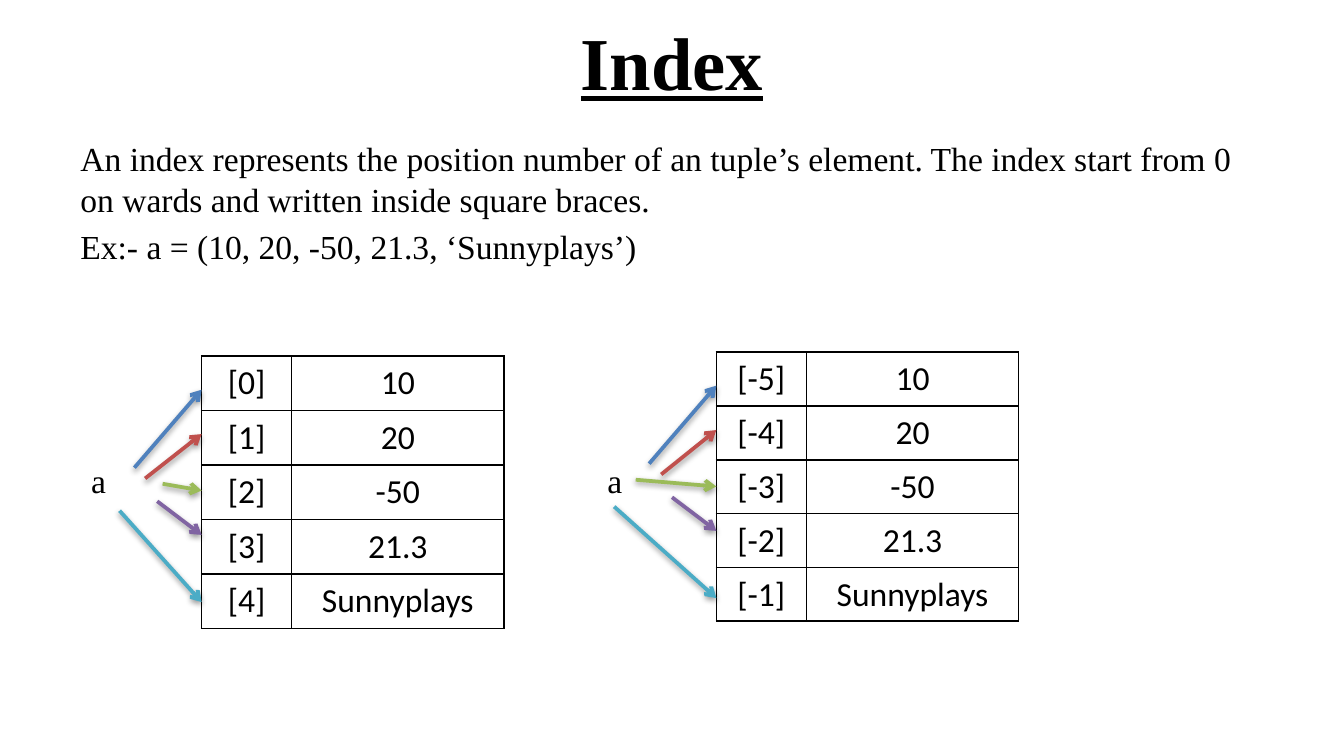
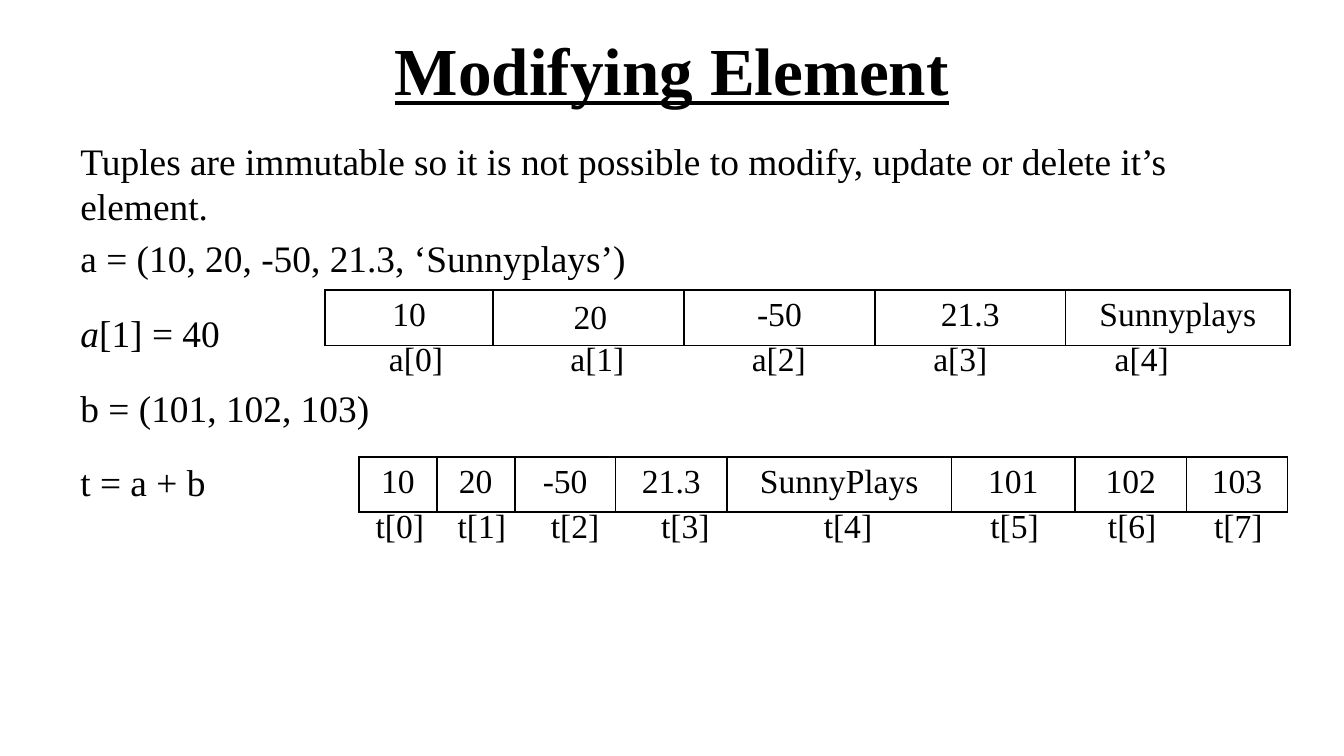
from lxml import etree
from pptx import Presentation
from pptx.dml.color import RGBColor
from pptx.enum.shapes import MSO_CONNECTOR
from pptx.enum.text import MSO_ANCHOR, MSO_AUTO_SIZE, PP_ALIGN
from pptx.oxml import parse_xml
from pptx.oxml.ns import nsdecls, qn
from pptx.util import Inches, Pt

COLORS = {
    "text": "000000", "border": "000000", "shadow": "000000", "background": "FFFFFF",
    "blue": "4F81BD", "red": "C0504D", "green": "9BBB59",
    "purple": "8064A2", "aqua": "4BACC6",
}
SERIF, SANS = "Times New Roman", "Calibri"
ROW_H = 0.41
VALUES = ["10", "20", "-50", "21.3", "Sunnyplays"]
TUPLE_A = "(10, 20, -50, 21.3, ‘Sunnyplays’)"

# colour, height of the arrow's tail and head below the table top
ARROWS = [
    ("blue", 0.83, 0.25),
    ("red", 0.91, 0.58),
    ("green", 0.95, 1),
    ("purple", 1.08, 1.33),
    ("aqua", 1.15, 1.83),
]


def rgb(name):
    return RGBColor.from_string(COLORS[name])


def add_run(p, text, size=18, font=SERIF, bold=False, italic=False, underline=False):
    r = p.add_run()
    r.text = text
    f = r.font
    f.size, f.name, f.color.rgb = Pt(size), font, rgb("text")
    f.bold, f.italic, f.underline = bold, italic, underline


def add_box(slide, x, y, w, h, wrap=True):
    tf = slide.shapes.add_textbox(Inches(x), Inches(y), Inches(w), Inches(h)).text_frame
    tf.word_wrap = wrap
    tf.auto_size = MSO_AUTO_SIZE.NONE if wrap else MSO_AUTO_SIZE.SHAPE_TO_FIT_TEXT
    return tf


def add_title(slide, text, y, size):
    tf = add_box(slide, 0.5, y, 9, 0.94)
    tf.vertical_anchor = MSO_ANCHOR.MIDDLE
    p = tf.paragraphs[0]
    p.alignment = PP_ALIGN.CENTER
    add_run(p, text, size, bold=True, underline=True)


def add_body(slide, w, h, size, paragraphs):
    """Each paragraph is (line spacing, [(text, italic), ...])."""
    tf = add_box(slide, 0.5, 0.98, w, h)
    for i, (spacing, runs) in enumerate(paragraphs):
        p = tf.add_paragraph() if i else tf.paragraphs[0]
        p.space_before = Pt(0.2 * size)
        p.line_spacing = float(spacing)
        for text, italic in runs:
            add_run(p, text, size, italic=italic)


def add_label(slide, text, x, y, w):
    tf = add_box(slide, x, y, w, 0.4, wrap=False)
    add_run(tf.paragraphs[0], text)


def set_borders(cell, visible):
    tc_pr = cell._tc.get_or_add_tcPr()
    for i, side in enumerate(("lnL", "lnR", "lnT", "lnB")):
        ln = etree.Element(qn(f"a:{side}"), w=str(Pt(1)))
        if visible:
            fill = etree.SubElement(ln, qn("a:solidFill"))
            etree.SubElement(fill, qn("a:srgbClr"), val=COLORS["border"])
        else:
            etree.SubElement(ln, qn("a:noFill"))
        tc_pr.insert(i, ln)


def add_grid(slide, x, y, widths, rows, row_h=ROW_H, font=SERIF, bordered=True):
    table = slide.shapes.add_table(
        len(rows), len(widths), Inches(x), Inches(y),
        Inches(sum(widths)), Inches(row_h * len(rows))).table
    table.first_row = table.horz_banding = False
    for column, width in zip(table.columns, widths):
        column.width = Inches(width)
    for i, row in enumerate(rows):
        table.rows[i].height = Inches(row_h)
        for j, text in enumerate(row):
            cell = table.cell(i, j)
            cell.fill.background()
            set_borders(cell, bordered)
            p = cell.text_frame.paragraphs[0]
            p.alignment = PP_ALIGN.CENTER
            if text:
                add_run(p, text, font=font)


def add_arrow(slide, x1, y1, x2, y2, color):
    cx = slide.shapes.add_connector(
        MSO_CONNECTOR.STRAIGHT, Inches(x1), Inches(y1), Inches(x2), Inches(y2))
    cx.line.color.rgb = rgb(color)
    cx.line.width = Pt(2)
    sp_pr = cx._element.spPr
    etree.SubElement(sp_pr.find(qn("a:ln")), qn("a:tailEnd"), type="arrow")
    sp_pr.append(parse_xml(
        f'<a:effectLst {nsdecls("a")}>'
        '<a:outerShdw blurRad="40000" dist="20000" dir="5400000" rotWithShape="0">'
        f'<a:srgbClr val="{COLORS["shadow"]}"><a:alpha val="38000"/></a:srgbClr>'
        '</a:outerShdw></a:effectLst>'))


def add_index_diagram(slide, x, y, label_x, first_index, tail_gaps):
    """Table of indexed values with arrows from the variable name; gaps run left from x."""
    rows = [(f"[{first_index + i}]", value) for i, value in enumerate(VALUES)]
    add_grid(slide, x, y, [0.67, 1.58], rows, row_h=0.4, font=SANS)
    add_label(slide, "a", label_x, 3.37, 0.31)
    for gap, (color, tail, head) in zip(tail_gaps, ARROWS):
        add_arrow(slide, x - gap, y + tail, x, y + head, color)


def add_tuple_strip(slide, x, y, name, values, widths, index_widths):
    """One row of values with a borderless row of their indexes below."""
    add_grid(slide, x, y, widths, [values])
    indexes = [f"{name}[{i}]" for i in range(len(values))]
    add_grid(slide, x, y + 0.33, index_widths, [indexes], bordered=False)


def new_slide(prs):
    slide = prs.slides.add_slide(prs.slide_layouts[6])
    fill = slide.background.fill
    fill.solid()
    fill.fore_color.rgb = rgb("background")
    return slide


def build_index(prs):
    s = new_slide(prs)
    add_title(s, "Index", -0.02, 40)
    add_body(s, 9, 1.5, 18, [
        (1, [("An index represents the position number of an tuple’s element. "
              "The index start from 0 on wards and written inside square braces.", False)]),
        (1, [(f"Ex:- a = {TUPLE_A}", False)]),
    ])
    add_index_diagram(s, 1.5, 2.65, 0.58, 0, [0.5, 0.42, 0.29, 0.33, 0.61])
    add_index_diagram(s, 5.33, 2.62, 4.42, -5, [0.5, 0.41, 0.6, 0.33, 0.76])


def build_modifying(prs):
    s = new_slide(prs)
    add_title(s, "Modifying Element", 0.04, 36)
    add_body(s, 9.08, 4.25, 20, [
        (1, [("Tuples are immutable so it is not possible to modify, "
              "update or delete it’s element.", False)]),
        (1, [(f"a = {TUPLE_A}", False)]),
        (1.5, [("a", True), ("[1] = 40", False)]),
        (1.5, [("b = (101, 102, 103)", False)]),
        (1.5, [("t = a + b", False)]),
    ])
    # the second value is a label of its own, over an empty cell
    add_tuple_strip(s, 2.42, 2.16, "a", [VALUES[0], "", *VALUES[2:]],
                    [1.25, 1.42, 1.42, 1.42, 1.67], [1.35] * 5)
    add_label(s, VALUES[1], 4.17, 2.15, 0.45)
    add_tuple_strip(s, 2.67, 3.4, "t", [*VALUES[:4], "SunnyPlays", "101", "102", "103"],
                    [0.58, 0.58, 0.75, 0.83, 1.67, 0.92, 0.83, 0.75],
                    [0.61, 0.61, 0.78, 0.86, 1.56, 0.92, 0.83, 0.75])


def main():
    prs = Presentation()
    prs.slide_width = Inches(10)
    prs.slide_height = prs.slide_width * 9 // 16
    build_index(prs)
    build_modifying(prs)
    prs.save("out.pptx")


if __name__ == "__main__":
    main()
